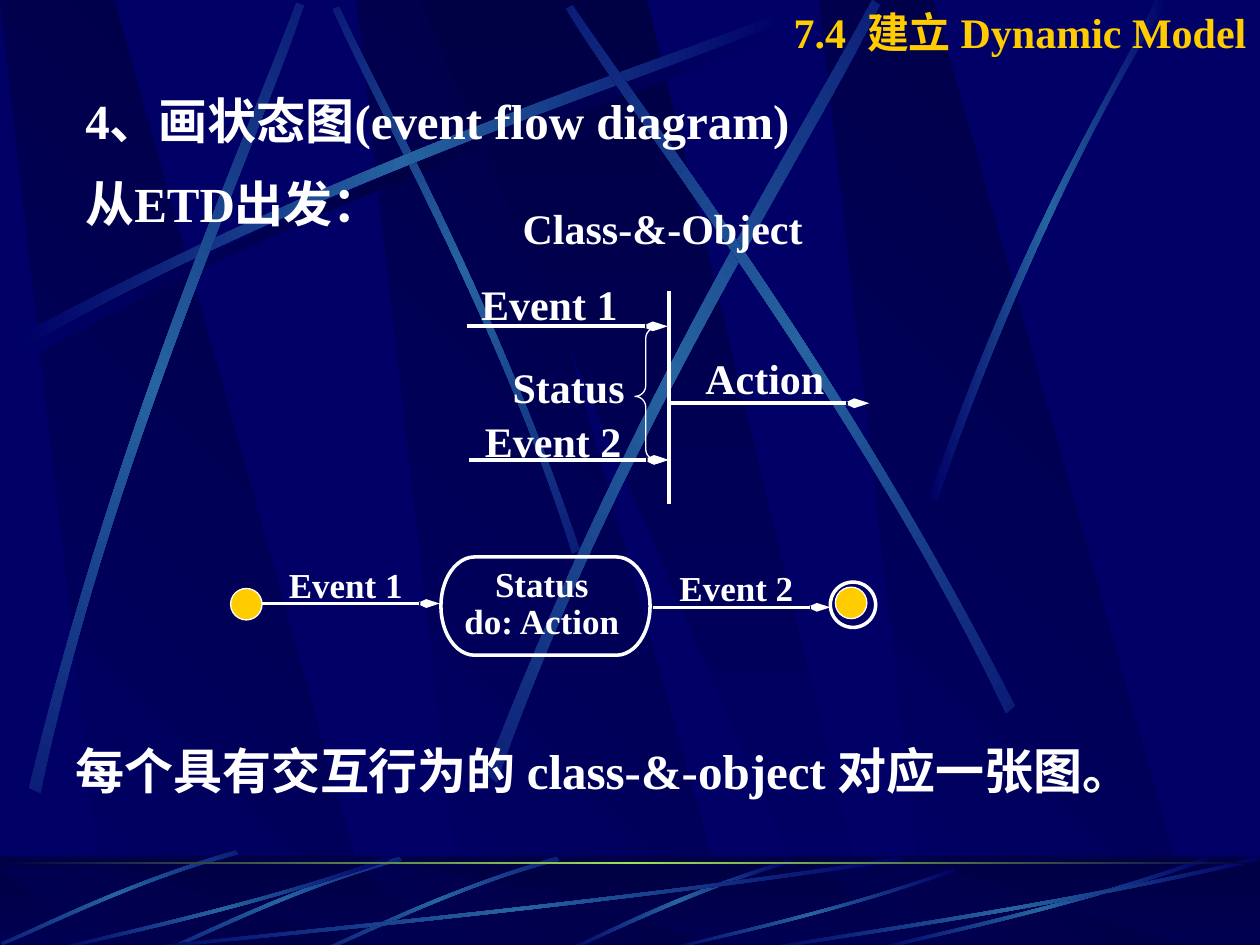
import math

import pptx
import pptx.dml.color
import pptx.enum.shapes
import pptx.enum.text
import pptx.oxml.ns
import pptx.util

Inches, Pt = pptx.util.Inches, pptx.util.Pt
RGBColor = pptx.dml.color.RGBColor
SHAPE = pptx.enum.shapes.MSO_SHAPE
ALIGN = pptx.enum.text.PP_ALIGN
qn = pptx.oxml.ns.qn

NAVY = RGBColor(0x00, 0x00, 0x66)
DARK = RGBColor(0x00, 0x00, 0x44)
STEEL = RGBColor(0x26, 0x63, 0xA0)
LIME = RGBColor(0x9C, 0xE1, 0x57)
GOLD = RGBColor(0xFF, 0xCC, 0x00)
WHITE = RGBColor(0xFF, 0xFF, 0xFF)
LATIN, CJK = "Times New Roman", "Noto Sans CJK SC"

# Outlines as fractions of their box
WEDGE = [(0.285, 1), (1, 1), (0.3, 0), (0, 0)]
COUNTER_WEDGE = [(0, 0), (0.9, 1), (1, 1), (0.5, 0)]
SWEEP = [(1, 0.04), (0.57, 0.57), (0.17, 0.85), (0.005, 1),
         (0, 0.98), (0.165, 0.81), (0.616, 0.5), (0.995, 0)]

# Streaks: two cubic edges of four points each
LONG = [(0.14, 2.67), (2.78, 1.25), (5.18, 0.51), (6.2, 0.1),
        (6.23, 0.16), (5.22, 0.61), (2.48, 1.43), (0.17, 2.77)]
SHORT = [(3.17, 6.8), (2.3, 7.05), (1.62, 7.4), (1.31, 7.53),
         (1.32, 7.55), (1.63, 7.43), (2.4, 7.03), (3.19, 6.83)]
RISING = [(6.27, 6.82), (5.37, 7.09), (4.77, 7.42), (4.48, 7.54),
          (4.53, 7.55), (4.9, 7.37), (5.71, 7), (6.28, 6.85)]
CROSSING = [(4.6, 4.36), (3.91, 2.34), (3.02, 0.77), (2.69, 0.05),
            (2.64, 0.07), (2.95, 0.79), (3.98, 2.58), (4.54, 4.39)]
# (points, rotation, centre of the box)
TURNED = [
    ([(0.23, 6.25), (0.93, 3.34), (1.97, 1.05), (2.35, 0.02),
      (2.41, 0.04), (2.07, 1.08), (0.86, 3.68), (0.32, 6.29)], 311.7, (1.33, 3.16)),
    ([(3.85, 6.14), (4.98, 3.2), (6.38, 1.02), (6.92, 0),
      (6.98, 0.04), (6.49, 1.08), (4.86, 3.55), (3.94, 6.21)], 321.6, (5.43, 3.11)),
    ([(8.06, 5.6), (6.7, 2.93), (5.16, 0.95), (4.55, 0.04),
      (4.5, 0.07), (5.07, 1.01), (6.85, 3.25), (7.99, 5.66)], 34.8, (6.27, 2.86)),
    ([(7.38, 3.93), (8.14, 1.73), (8.88, 0.66), (9.17, 0),
      (9.27, 0), (8.36, 1.45), (7.69, 3.22), (7.44, 3.97)], 0, (8.32, 1.98)),
]


def shift(points, dx, dy):
    return [(x + dx, y + dy) for x, y in points]


def in_box(points, x, y, w, h):
    return [(x + fx * w, y + fy * h) for fx, fy in points]


def turn(points, degrees, centre):
    cx, cy = centre
    cos, sin = math.cos(math.radians(degrees)), math.sin(math.radians(degrees))
    return [(cx + (x - cx) * cos - (y - cy) * sin,
             cy + (x - cx) * sin + (y - cy) * cos) for x, y in points]


def gradient(sp, colors, angle=0):
    sp.fill.gradient()
    grad = sp._element.spPr.find(qn("a:gradFill"))
    stops = grad.find(qn("a:gsLst"))
    for gs in list(stops):
        stops.remove(gs)
    for i, color in enumerate(colors):
        gs = stops.makeelement(qn("a:gs"), {"pos": str(100000 * i // (len(colors) - 1))})
        gs.append(gs.makeelement(qn("a:srgbClr"), {"val": str(color)}))
        stops.append(gs)
    grad.find(qn("a:lin")).set("ang", str(angle * 60000))


def polygon(s, points, colors, angle=0):
    corners = [(Inches(x), Inches(y)) for x, y in points]
    fb = s.shapes.build_freeform(*corners[0])
    fb.add_line_segments(corners[1:], close=True)
    sp = fb.convert_to_shape()
    sp.shadow.inherit = False
    sp.line.fill.background()
    gradient(sp, colors, angle)
    return sp


def streak(s, points, rotation=0, centre=(0, 0), middle=STEEL):
    sp = polygon(s, turn(points, -rotation, centre), [NAVY, middle, NAVY])
    sp.rotation = rotation
    # Bend both long edges: three line points become one cubic curve
    segments = list(sp._element.iter(qn("a:lnTo")))
    for edge in (segments[:3], segments[4:7]):
        bend = edge[0].makeelement(qn("a:cubicBezTo"), {})
        edge[0].addprevious(bend)
        for segment in edge:
            bend.append(segment[0])
            segment.getparent().remove(segment)


def shape(s, kind, x, y, w, h, fill=None, line=None, width=0.75):
    sp = s.shapes.add_shape(kind, Inches(x), Inches(y), Inches(w), Inches(h))
    sp.shadow.inherit = False
    if fill is None:
        sp.fill.background()
    else:
        sp.fill.solid()
        sp.fill.fore_color.rgb = fill
    if line is None:
        sp.line.fill.background()
    else:
        sp.line.color.rgb = line
        sp.line.width = Pt(width)
    return sp


def line(s, x1, y1, x2, y2, width, arrow=True):
    c = s.shapes.add_connector(pptx.enum.shapes.MSO_CONNECTOR.STRAIGHT,
                               Inches(x1), Inches(y1), Inches(x2), Inches(y2))
    c.line.color.rgb = WHITE
    c.line.width = Pt(width)
    pr = c._element.spPr
    if arrow:
        ln = pr.find(qn("a:ln"))
        ln.append(ln.makeelement(qn("a:tailEnd"), {"type": "arrow", "w": "sm", "len": "lg"}))
    pr.append(pr.makeelement(qn("a:effectLst"), {}))


def text(s, x, y, w, h, paragraphs, size, color=WHITE, align=ALIGN.LEFT,
         before=0, spacing=None, margins=(0.1, 0.05, 0.1, 0.05)):
    """Each paragraph is a list of (wording, font) runs."""
    tf = s.shapes.add_textbox(Inches(x), Inches(y), Inches(w), Inches(h)).text_frame
    tf.word_wrap = True
    tf.margin_left, tf.margin_top, tf.margin_right, tf.margin_bottom = map(Inches, margins)
    for i, runs in enumerate(paragraphs):
        p = tf.add_paragraph() if i else tf.paragraphs[0]
        p.alignment, p.space_before = align, Pt(before)
        if spacing:
            p.line_spacing = spacing
        for wording, font in runs:
            r = p.add_run()
            r.text = wording
            r.font.name, r.font.size, r.font.bold = font, Pt(size), True
            r.font.color.rgb = color
            rpr = r.font._element
            rpr.append(rpr.makeelement(qn("a:ea"), {"typeface": CJK}))
    return tf


def wedges(s, y, h):
    for x in (2.83, 0, 6.5):
        polygon(s, in_box(WEDGE, x, y, 3.02, h), [NAVY, DARK], 315)
    polygon(s, in_box(COUNTER_WEDGE, 3.33, y, 3.61, h), [DARK, NAVY], 90)


def backdrop(s):
    s.background.fill.solid()
    s.background.fill.fore_color.rgb = NAVY
    wedges(s, 0, 7.52)
    streak(s, shift(LONG, 0.06, 0.08), middle=DARK)
    streak(s, CROSSING, 45, (3.62, 2.22))
    streak(s, LONG)
    for points, rotation, centre in TURNED:
        streak(s, points, rotation, centre)


def footer(s, y, h):
    gradient(shape(s, SHAPE.RECTANGLE, 0, y, 10, h), [DARK, NAVY], 90)
    wedges(s, y + 0.08, 0.66)
    veil = shape(s, SHAPE.RECTANGLE, 0, y - 0.01, 10, h, DARK)
    clr = veil._element.spPr.find(qn("a:solidFill"))[0]
    clr.append(clr.makeelement(qn("a:alpha"), {"val": "50000"}))
    streak(s, RISING)
    for dx, dy in ((1.25, 0), (0, 0), (-1.3, -0.05)):
        streak(s, shift(SHORT, dx, dy), 314.9, (2.25 + dx, 7.18 + dy))
    for x, top, w in ((1, y, 6.17), (0.42, y, 2.67), (5.27, 6.89, 2.31),
                      (6.92, y, 2.67), (6, y, 4)):
        streak(s, in_box(SWEEP, x, top, w, 7.55 - top))
    gradient(shape(s, SHAPE.RECTANGLE, 0, y + 0.04, 10, 0.02), [DARK, LIME, DARK])


def headings(s):
    for y, w, wording in ((0.67, 8.67, "4、画状态图(event flow diagram)"), (1.33, 3.33, "从ETD出发：")):
        tf = text(s, 0.58, y, w, 0.57, [[(wording, LATIN)]], 28, before=10.5)
        ppr = tf.paragraphs[0]._p.get_or_add_pPr()
        ppr.set("marL", str(Inches(0.53)))
        ppr.set("indent", str(-Inches(0.53)))


def event_trace(s, x, y):
    """Event trace, placed from the top of its object line."""
    for x1, y1, x2 in ((x - 1.6, y + 0.28, x - 0.01), (x - 1.59, y + 1.34, x), (x, y + 0.89, x + 1.59)):
        line(s, x1, y1, x2, y1, 2.25)
    line(s, x, y, x, y + 1.69, 2.25, arrow=False)
    brace = shape(s, SHAPE.LEFT_BRACE, x - 0.27, y + 0.29, 0.17, 1.05, line=WHITE)
    brace.adjustments[0], brace.adjustments[1] = 0.5, 0.52
    for dx, dy, w, label in ((-1.56, 0.94, 1.49, "Event 2"), (-1.59, -0.15, 1.49, "Event 1"),
                             (0.19, 0.44, 1.32, "Action"), (-1.34, 0.51, 1.32, "Status"),
                             (-1.26, -0.75, 2.73, "Class-&-Object")):
        text(s, x + dx, y + dy, w, 0.5, [[(label, LATIN)]], 24, before=15)


def state_diagram(s, x, y):
    """Start, state and end, placed from the top left of the row."""
    shape(s, SHAPE.OVAL, x, y + 0.25, 0.25, 0.25, GOLD, WHITE)
    shape(s, SHAPE.FLOWCHART_TERMINATOR, x + 1.67, y, 1.66, 0.78, line=WHITE, width=2)
    text(s, x + 1.67, y + 0.03, 1.67, 0.65, [[("Status ", LATIN)], [("do: Action ", LATIN)]],
         20, align=ALIGN.CENTER, spacing=0.9, margins=(0.02, 0.05, 0.02, 0))
    for dx, dy, label in ((0.25, 0, "Event 1"), (3.35, 0.03, "Event 2")):
        line(s, x + dx, y + dy + 0.37, x + dx + 1.41, y + dy + 0.37, 2)
        text(s, x + dx, y + dy, 1.33, 0.44, [[(label, LATIN)]], 20, align=ALIGN.CENTER, before=12.5)
    shape(s, SHAPE.OVAL, x + 4.8, y + 0.24, 0.25, 0.25, GOLD, WHITE)
    shape(s, SHAPE.OVAL, x + 4.76, y + 0.2, 0.36, 0.36, line=WHITE, width=2)


def main():
    prs = pptx.Presentation()
    prs.slide_width, prs.slide_height = Inches(10), Inches(7.5)
    s = prs.slides.add_slide(prs.slide_layouts[6])
    backdrop(s)
    footer(s, 6.8, 0.75)
    headings(s)
    event_trace(s, 5.31, 2.31)
    text(s, 0.5, 5.83, 8.92, 0.57, [[("每个具有交互行为的 ", CJK), ("class-&-object ", LATIN),
                                     ("对应一张图。", CJK)]], 28, before=17.5)
    state_diagram(s, 1.83, 4.42)
    title = text(s, 5.99, 0, 4, 0.5, [[("7.4  建立 Dynamic Model", LATIN)]], 24, GOLD, ALIGN.RIGHT)
    title.vertical_anchor = pptx.enum.text.MSO_ANCHOR.MIDDLE
    prs.save("out.pptx")


if __name__ == "__main__":
    main()
